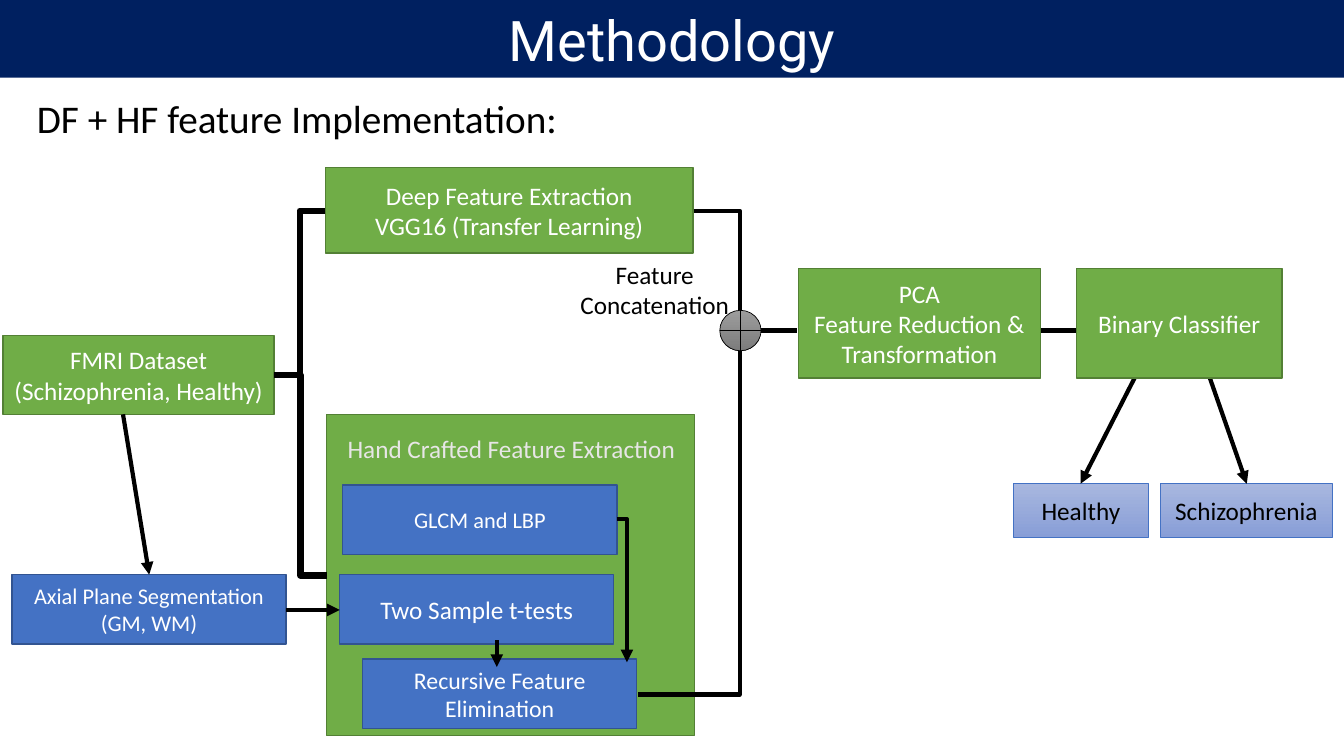
from lxml import etree
from pptx import Presentation
from pptx.dml.color import RGBColor
from pptx.enum.shapes import MSO_CONNECTOR, MSO_SHAPE
from pptx.enum.text import MSO_ANCHOR, MSO_AUTO_SIZE, PP_ALIGN
from pptx.oxml.ns import qn
from pptx.util import Cm, Pt

RECT, OR = MSO_SHAPE.RECTANGLE, MSO_SHAPE.FLOWCHART_OR
LINE, ELBOW = MSO_CONNECTOR.STRAIGHT, MSO_CONNECTOR.ELBOW
LEFT, CENTER = PP_ALIGN.LEFT, PP_ALIGN.CENTER
TOP, MIDDLE = MSO_ANCHOR.TOP, MSO_ANCHOR.MIDDLE
FIXED = MSO_AUTO_SIZE.NONE

NAVY = RGBColor(0x00, 0x20, 0x60)
WHITE = RGBColor(0xFF, 0xFF, 0xFF)
BLACK = RGBColor(0x00, 0x00, 0x00)
PALE = RGBColor(0xE7, 0xE6, 0xE6)
GREEN = RGBColor(0x70, 0xAD, 0x47)
MOSS = RGBColor(0x53, 0x80, 0x35)
BLUE = RGBColor(0x44, 0x72, 0xC4)
DUSK = RGBColor(0x32, 0x54, 0x91)
SKY = (RGBColor(0xA8, 0xB7, 0xDF), RGBColor(0x88, 0x9E, 0xD7))
GRAY = (RGBColor(0x9D, 0x9D, 0x9D), RGBColor(0x7C, 0x7C, 0x7C))

STEP = (GREEN, MOSS, 1, WHITE)
TASK = (BLUE, DUSK, 1, WHITE)
CLASS = (SKY, BLUE, 0.5, BLACK)
JOIN = (GRAY, BLACK, 0.5, BLACK)


def write(frame, lines, size, color, align=CENTER, anchor=MIDDLE, font="Calibri"):
    frame.word_wrap = True
    frame.auto_size = FIXED
    frame.vertical_anchor = anchor
    for i, line in enumerate(lines):
        para = frame.add_paragraph() if i else frame.paragraphs[0]
        para.alignment = align
        run = para.add_run()
        run.text = line
        run.font.name = font
        run.font.size = Pt(size)
        run.font.color.rgb = color


def box(kind, place, style, lines=(), size=18):
    paint, edge, width, ink = style
    shape = slide.shapes.add_shape(kind, *map(Cm, place))
    shape.shadow.inherit = False
    if isinstance(paint, RGBColor):
        shape.fill.solid()
        shape.fill.fore_color.rgb = paint
    else:
        shape.fill.gradient()
        shape.fill.gradient_angle = 270
        for stop, tint in zip(shape.fill.gradient_stops, paint):
            stop.color.rgb = tint
    shape.line.color.rgb = edge
    shape.line.width = Pt(width)
    write(shape.text_frame, lines, size, ink)


deck = Presentation()
deck.slide_width, deck.slide_height = Cm(33.87), Cm(19.05)
slide = deck.slides.add_slide(deck.slide_layouts[5])

title = slide.shapes.title
title.left, title.top, title.width, title.height = Cm(0), Cm(0), Cm(33.87), Cm(1.96)
title.fill.solid()
title.fill.fore_color.rgb = NAVY
write(title.text_frame, ["Methodology"], 40, WHITE, font="Roboto")

box(RECT, (0.08, 8.46, 6.83, 1.98), STEP, ["FMRI Dataset", "(Schizophrenia, Healthy)"])
box(RECT, (8.2, 4.22, 9.27, 2.16), STEP,
    ["Deep Feature Extraction", "VGG16 (Transfer Learning)"])
box(RECT, (8.23, 10.44, 9.27, 8.1), STEP)
box(RECT, (20.12, 6.76, 6.1, 2.77), STEP,
    ["PCA", "Feature Reduction &", "Transformation"])

tasks = [
    (0.3, 14.48, 16, ["Axial Plane Segmentation", "(GM, WM)"]),
    (8.64, 12.22, 16, ["GLCM and LBP"]),
    (8.56, 14.48, 18, ["Two Sample t-tests"]),
    (9.14, 16.61, 17, ["Recursive Feature Elimination"]),
]
for x, y, size, lines in tasks:
    box(RECT, (x, y, 6.91, 1.75), TASK, lines, size)

for x, width, name in [(25.55, 3.38, "Healthy"), (29.24, 4.34, "Schizophrenia")]:
    box(RECT, (x, 12.19, width, 1.35), CLASS, [name])

labels = [
    (0.68, 2.24, 14, 1.45, "DF + HF feature Implementation:", 28, BLACK, LEFT),
    (8.51, 10.8, 9.27, 1.02, "Hand Crafted Feature Extraction", 18, PALE, LEFT),
    (14.25, 6.4, 4.5, 1.8, "Feature Concatenation", 18, BLACK, CENTER),
]
for x, y, width, height, line, size, ink, align in labels:
    label = slide.shapes.add_textbox(Cm(x), Cm(y), Cm(width), Cm(height))
    write(label.text_frame, [line], size, ink, align, TOP)

links = [
    ("bentConnector3", 6.91, 9.45, 8.23, 14.5, 4.5, False),
    ("bentConnector3", 8.2, 5.31, 6.91, 9.45, 4.5, False),
    ("bentConnector2", 16.08, 17.5, 18.64, 8.81, 3, False),
    ("bentConnector2", 17.48, 5.31, 18.64, 7.82, 3, False),
    ("bentConnector2", 15.54, 13.08, 15.8, 16.69, 3, True),
    ("line", 19.15, 8.33, 20.09, 8.33, 3, False),
    ("line", 26.24, 8.33, 27.18, 8.33, 3, False),
    ("line", 29.72, 7.32, 31.42, 12.19, 3, True),
    ("line", 29.72, 7.32, 27.23, 12.19, 3, True),
    ("line", 12.52, 16.13, 12.52, 16.81, 3, True),
    ("line", 3.1, 10.44, 3.76, 14.48, 3, True),
    ("line", 7.21, 15.37, 8.56, 15.37, 3, True),
]
for form, x1, y1, x2, y2, width, arrow in links:
    kind = LINE if form == "line" else ELBOW
    link = slide.shapes.add_connector(kind, Cm(x1), Cm(y1), Cm(x2), Cm(y2))
    link.line.color.rgb = BLACK
    link.line.width = Pt(width)
    props = link._element.spPr
    props.find(qn("a:prstGeom")).set("prst", form)
    if arrow:
        etree.SubElement(props.find(qn("a:ln")), qn("a:tailEnd"), type="triangle")
    etree.SubElement(props, qn("a:effectLst"))

box(OR, (18.14, 7.82, 1.04, 1.02), JOIN)
box(RECT, (27.13, 6.76, 5.18, 2.77), STEP, ["Binary Classifier"])

deck.save("out.pptx")
